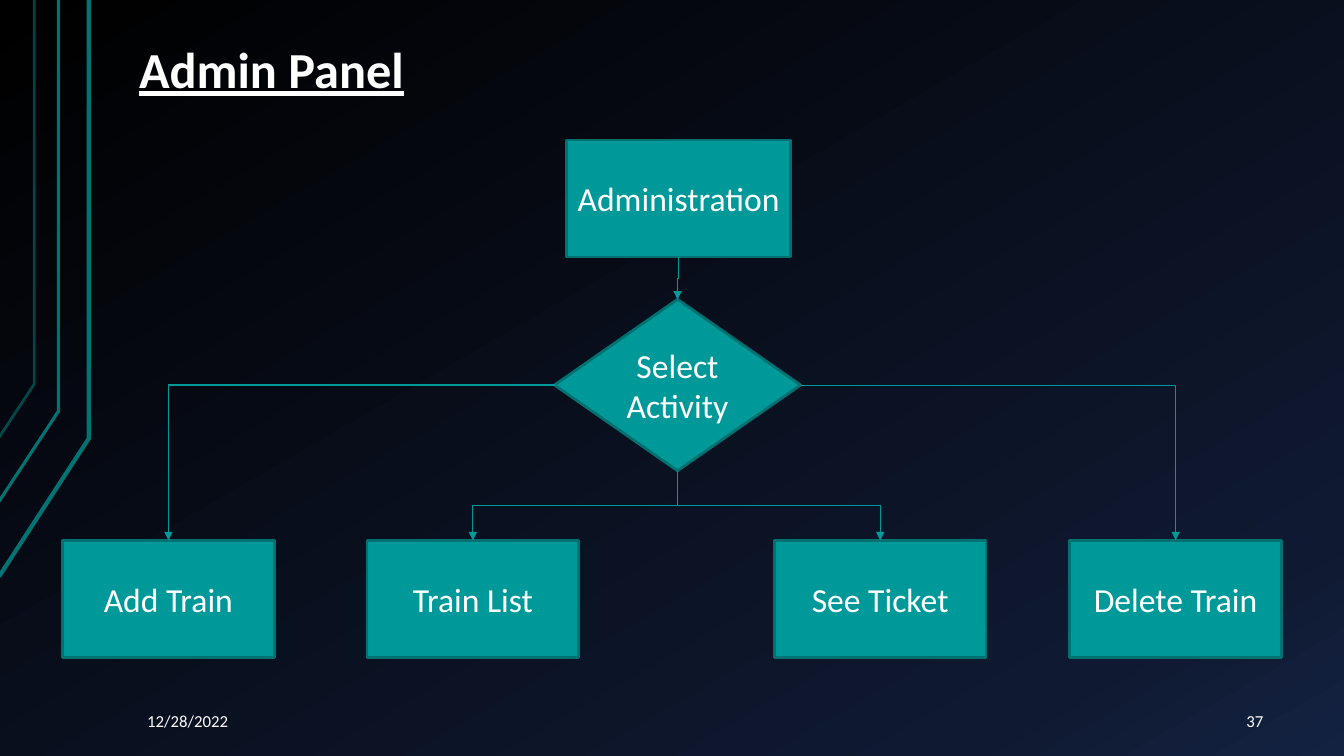
from pptx import Presentation
from pptx.dml.color import RGBColor
from pptx.enum.shapes import MSO_CONNECTOR, MSO_SHAPE as Preset
from pptx.enum.text import MSO_ANCHOR as Anchor, PP_ALIGN as Align
from pptx.oxml import parse_xml
from pptx.oxml.ns import nsdecls, qn
from pptx.util import Inches, Pt

WHITE = RGBColor(0xFF, 0xFF, 0xFF)
TEAL = RGBColor(0x00, 0x99, 0x99)
BORDER = RGBColor(0x00, 0x71, 0x71)
STRIPE = RGBColor(0x00, 0x73, 0x73)
BACKGROUND_STOPS = [
    (0, RGBColor(0x00, 0x00, 0x00)),
    (85, RGBColor(0x0F, 0x19, 0x31)),
    (100, RGBColor(0x14, 0x22, 0x42)),
]
TOP, LEFT, BOTTOM, RIGHT = range(4)  # connection sites

# points, width in points, opacity in percent
STRIPES = [
    ([(-0.01, 5.72), (0.88, 4.35), (0.88, 0)], 3, 100),
    ([(-0.02, 4.99), (0.58, 4.08), (0.58, 0)], 2.25, 100),
    ([(-0.01, 4.34), (0.34, 3.81), (0.34, 0)], 2, 60),
]
ACTIVITIES = [("Add Train", 0.62), ("Train List", 3.64),
              ("See Ticket", 7.68), ("Delete Train", 10.61)]


def set_background(slide):
    fill = slide.background.fill
    fill.gradient()
    gradient = slide.background._cSld.find(".//" + qn("a:gradFill"))
    stops = "".join(
        f'<a:gs pos="{percent * 1000}"><a:srgbClr val="{color}"/></a:gs>'
        for percent, color in BACKGROUND_STOPS)
    gradient.getparent().replace(gradient, parse_xml(
        f'<a:gradFill {nsdecls("a")} rotWithShape="1"><a:gsLst>{stops}</a:gsLst>'
        '<a:lin ang="3600000" scaled="0"/></a:gradFill>'))


def add_stripe(slide, points, width, opacity):
    start, *rest = [(Inches(x), Inches(y)) for x, y in points]
    builder = slide.shapes.build_freeform(*start)
    builder.add_line_segments(rest, close=False)
    shape = builder.convert_to_shape()
    shape.shadow.inherit = False
    shape.fill.background()
    shape.line.color.rgb = STRIPE
    shape.line.width = Pt(width)
    if opacity < 100:
        color = shape.line._ln.find(".//" + qn("a:srgbClr"))
        color.append(parse_xml(f'<a:alpha {nsdecls("a")} val="{opacity * 1000}"/>'))


def write_text(shape, text, align, **font_format):
    paragraph = shape.text_frame.paragraphs[0]
    paragraph.text = text
    paragraph.alignment = align
    values = {"name": "Calibri", **font_format}
    for name, value in values.items():
        setattr(paragraph.font, name, value)
    paragraph.font.color.rgb = WHITE
    return paragraph


def add_node(slide, text, left, top, width, height, preset=Preset.FLOWCHART_PROCESS):
    shape = slide.shapes.add_shape(
        preset, Inches(left), Inches(top), Inches(width), Inches(height))
    shape.shadow.inherit = False
    shape.fill.solid()
    shape.fill.fore_color.rgb = TEAL
    shape.line.color.rgb = BORDER
    shape.line.width = Pt(2)
    shape.text_frame.word_wrap = True
    shape.text_frame.vertical_anchor = Anchor.MIDDLE
    write_text(shape, text, Align.CENTER, size=Pt(24))
    return shape


def site_point(shape, site):
    x = shape.left + {LEFT: 0, RIGHT: shape.width}.get(site, shape.width // 2)
    y = shape.top + {TOP: 0, BOTTOM: shape.height}.get(site, shape.height // 2)
    return x, y


def add_arrow(slide, source, site, target):
    """Join a site of source to the top of target: one bend from a side, two from below."""
    x1, y1 = site_point(source, site)
    x2, y2 = site_point(target, TOP)
    connector = slide.shapes.add_connector(MSO_CONNECTOR.ELBOW, x1, y1, x2, y2)
    connector.begin_connect(source, site)
    connector.end_connect(target, TOP)

    leftward = x2 < x1
    width, height = abs(x2 - x1), abs(y2 - y1)
    if site == BOTTOM:
        width, height = height, width
        rotation, flip = (90, None) if leftward else (270, "flipH")
    else:
        rotation, flip = (180, "flipV") if leftward else (0, None)
        connector._element.spPr.find(qn("a:prstGeom")).set("prst", "bentConnector2")
    frame = {"left": (x1 + x2 - width) // 2, "top": (y1 + y2 - height) // 2,
             "width": width, "height": height}
    for name, value in frame.items():
        setattr(connector, name, value)
    transform = connector._element.spPr.find(qn("a:xfrm"))
    transform.set("rot", str(rotation * 60000))
    for name in ("flipH", "flipV"):
        transform.set(name, "1" if name == flip else "0")

    connector.line.color.rgb = TEAL
    connector.line.width = Pt(0.75)
    connector.line._ln.append(parse_xml(f'<a:tailEnd {nsdecls("a")} type="triangle"/>'))
    connector._element.spPr.append(parse_xml(f'<a:effectLst {nsdecls("a")}/>'))


def add_label(slide, text, left, top, width, height, anchor=Anchor.MIDDLE,
              align=Align.LEFT, **font_format):
    box = slide.shapes.add_textbox(
        Inches(left), Inches(top), Inches(width), Inches(height))
    frame_format = {"word_wrap": True, "vertical_anchor": anchor,
                    "margin_left": Inches(0.13), "margin_right": Inches(0.13),
                    "margin_top": Inches(0.07), "margin_bottom": Inches(0.07)}
    for name, value in frame_format.items():
        setattr(box.text_frame, name, value)
    return write_text(box, text, align, **font_format)


def main():
    presentation = Presentation()
    presentation.slide_width = Inches(13.33)
    presentation.slide_height = Inches(7.5)
    slide = presentation.slides.add_slide(presentation.slide_layouts[6])
    set_background(slide)
    for points, width, opacity in STRIPES:
        add_stripe(slide, points, width, opacity)

    administration = add_node(slide, "Administration", 5.62, 1.39, 2.22, 1.16)
    decision = add_node(slide, "Select Activity", 5.5, 2.97, 2.44, 1.7,
                        Preset.FLOWCHART_DECISION)
    activities = [add_node(slide, text, left, 5.36, 2.1, 1.16)
                  for text, left in ACTIVITIES]
    add_arrow(slide, administration, BOTTOM, decision)
    for site, activity in zip((LEFT, BOTTOM, BOTTOM, RIGHT), activities):
        add_arrow(slide, decision, site, activity)

    title = add_label(slide, "Admin Panel", 1.25, 0.17, 11.33, 0.89, Anchor.BOTTOM,
                      size=Pt(36), bold=True, underline=True)
    title.line_spacing = 0.9
    add_label(slide, "37", 11.55, 6.95, 1.11, 0.4, align=Align.RIGHT, size=Pt(12))
    add_label(slide, "12/28/2022", 1.33, 6.95, 2.44, 0.4, size=Pt(12))
    presentation.save("out.pptx")


if __name__ == "__main__":
    main()
